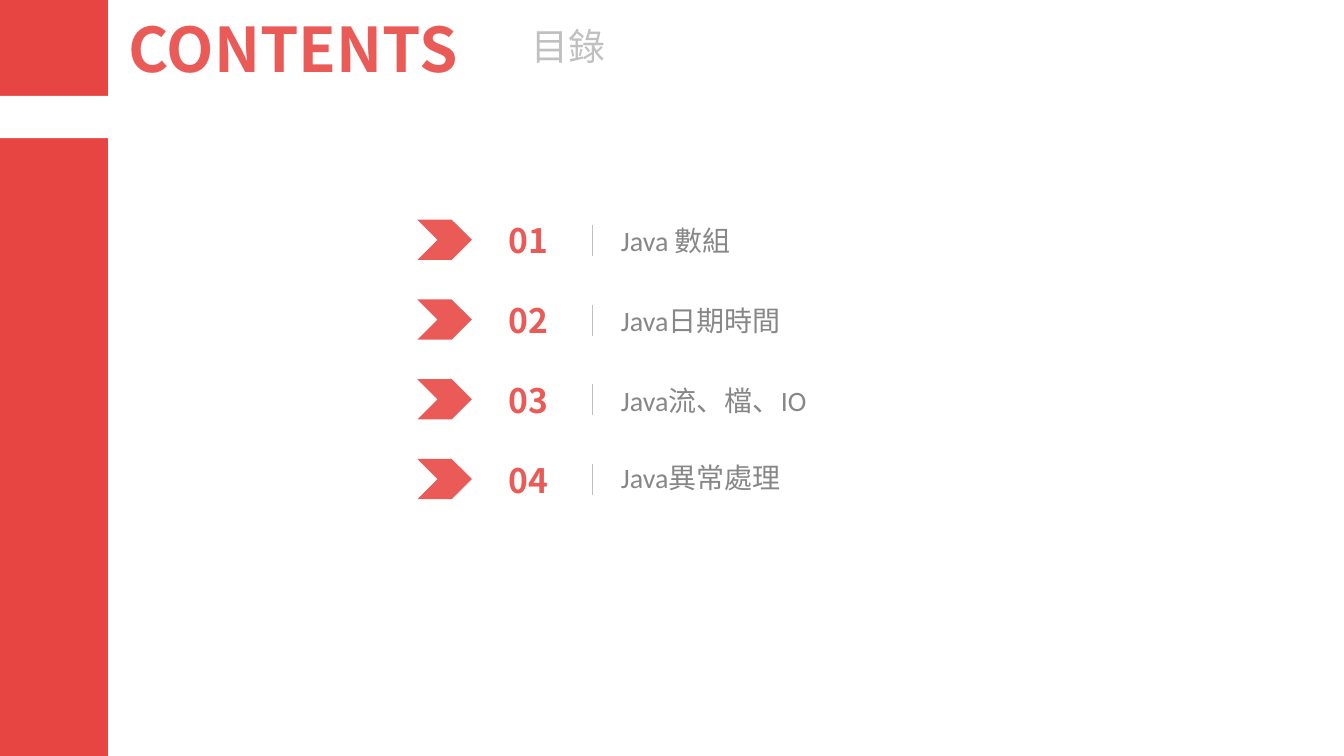
from dataclasses import dataclass

from lxml.etree import SubElement
from pptx import Presentation
from pptx.dml.color import RGBColor
from pptx.enum.shapes import MSO_CONNECTOR, MSO_SHAPE
from pptx.enum.text import MSO_ANCHOR, PP_ALIGN
from pptx.oxml.ns import qn
from pptx.slide import Slide
from pptx.util import Inches, Pt

SLIDE_WIDTH, SLIDE_HEIGHT = Inches(13.33), Inches(7.5)


@dataclass(frozen=True)
class TextStyle:
    size: float
    color: str
    font: str = "Noto Sans CJK SC"
    bold: bool = False
    align: PP_ALIGN = PP_ALIGN.LEFT


@dataclass(frozen=True)
class Theme:
    band: str = "E74541"
    gap: str = "FFFFFF"
    accent: str = "EA5B58"
    rule: str = "C0C0C0"
    rule_width: float = 0.5
    east_asian: str = "Noto Sans CJK SC"
    title: TextStyle = TextStyle(44, "EA5B58", bold=True)
    subtitle: TextStyle = TextStyle(26.4, "C0C0C0", align=PP_ALIGN.CENTER)
    number: TextStyle = TextStyle(24, "EA5B58", bold=True, align=PP_ALIGN.CENTER)
    topic: TextStyle = TextStyle(20, "878787", font="Calibri")


THEME = Theme()


@dataclass(frozen=True)
class Area:
    """Left, top, width and height in percent of the slide."""
    left: float
    top: float
    width: float
    height: float

    def lengths(self) -> tuple[int, int, int, int]:
        return (
            int(SLIDE_WIDTH * self.left / 100),
            int(SLIDE_HEIGHT * self.top / 100),
            int(SLIDE_WIDTH * self.width / 100),
            int(SLIDE_HEIGHT * self.height / 100),
        )


@dataclass(frozen=True)
class Chapter:
    topic: str
    line_spacing: float = 1.0


CHAPTERS = (
    Chapter("Java 數組"),
    Chapter("Java日期時間"),
    Chapter("Java流、檔、IO"),
    Chapter("Java異常處理", line_spacing=0.9),
)
FIRST_ROW, ROW_HEIGHT = 26.53, 10.55


def draw_block(slide: Slide, kind: MSO_SHAPE, area: Area, color: str) -> None:
    block = slide.shapes.add_shape(kind, *area.lengths())
    block.shadow.inherit = False
    block.fill.solid()
    block.fill.fore_color.rgb = RGBColor.from_string(color)
    block.line.fill.background()


def draw_text(slide: Slide, words: str, area: Area, style: TextStyle,
              line_spacing: float = 1.0) -> None:
    frame = slide.shapes.add_textbox(*area.lengths()).text_frame
    frame.word_wrap = True
    frame.vertical_anchor = MSO_ANCHOR.MIDDLE
    frame.text = words
    paragraph = frame.paragraphs[0]
    paragraph.alignment = style.align
    paragraph.line_spacing = line_spacing
    font = paragraph.runs[0].font
    font.name, font.size, font.bold = style.font, Pt(style.size), style.bold
    font.color.rgb = RGBColor.from_string(style.color)
    # Chinese characters take the East Asian typeface
    SubElement(paragraph.runs[0]._r.rPr, qn("a:ea"), typeface=THEME.east_asian)


def draw_rule(slide: Slide, area: Area) -> None:
    left, top, width, height = area.lengths()
    rule = slide.shapes.add_connector(
        MSO_CONNECTOR.STRAIGHT, left, top, left + width, top + height)
    rule.line.color.rgb = RGBColor.from_string(THEME.rule)
    rule.line.width = Pt(THEME.rule_width)
    SubElement(rule._element.spPr, qn("a:effectLst"))


def draw_chapter(slide: Slide, index: int, chapter: Chapter) -> None:
    top = FIRST_ROW + index * ROW_HEIGHT
    draw_text(slide, f"{index + 1:02}", Area(35.11, top, 8.4, ROW_HEIGHT), THEME.number)
    draw_rule(slide, Area(44.11, top + 3.2, 0, 4.13))
    draw_text(slide, chapter.topic, Area(45.46, top, 43.89, ROW_HEIGHT),
              THEME.topic, chapter.line_spacing)
    draw_block(slide, MSO_SHAPE.CHEVRON, Area(31.06, top + 2.53, 4.05, 5.33), THEME.accent)


def main() -> None:
    deck = Presentation()
    deck.slide_width, deck.slide_height = SLIDE_WIDTH, SLIDE_HEIGHT
    slide = deck.slides.add_slide(deck.slide_layouts[6])

    # Side band with its gap
    draw_block(slide, MSO_SHAPE.RECTANGLE, Area(0, 0, 8.03, 100), THEME.band)
    draw_block(slide, MSO_SHAPE.RECTANGLE, Area(0, 12.67, 8.03, 5.6), THEME.gap)

    # Heading
    draw_text(slide, "CONTENTS", Area(8.85, 0.67, 36.61, 11.2), THEME.title)
    draw_text(slide, "目錄", Area(36.46, 2.27, 11.63, 7.6), THEME.subtitle)

    # Chapter list
    for index, chapter in enumerate(CHAPTERS):
        draw_chapter(slide, index, chapter)

    deck.save("out.pptx")


if __name__ == "__main__":
    main()
